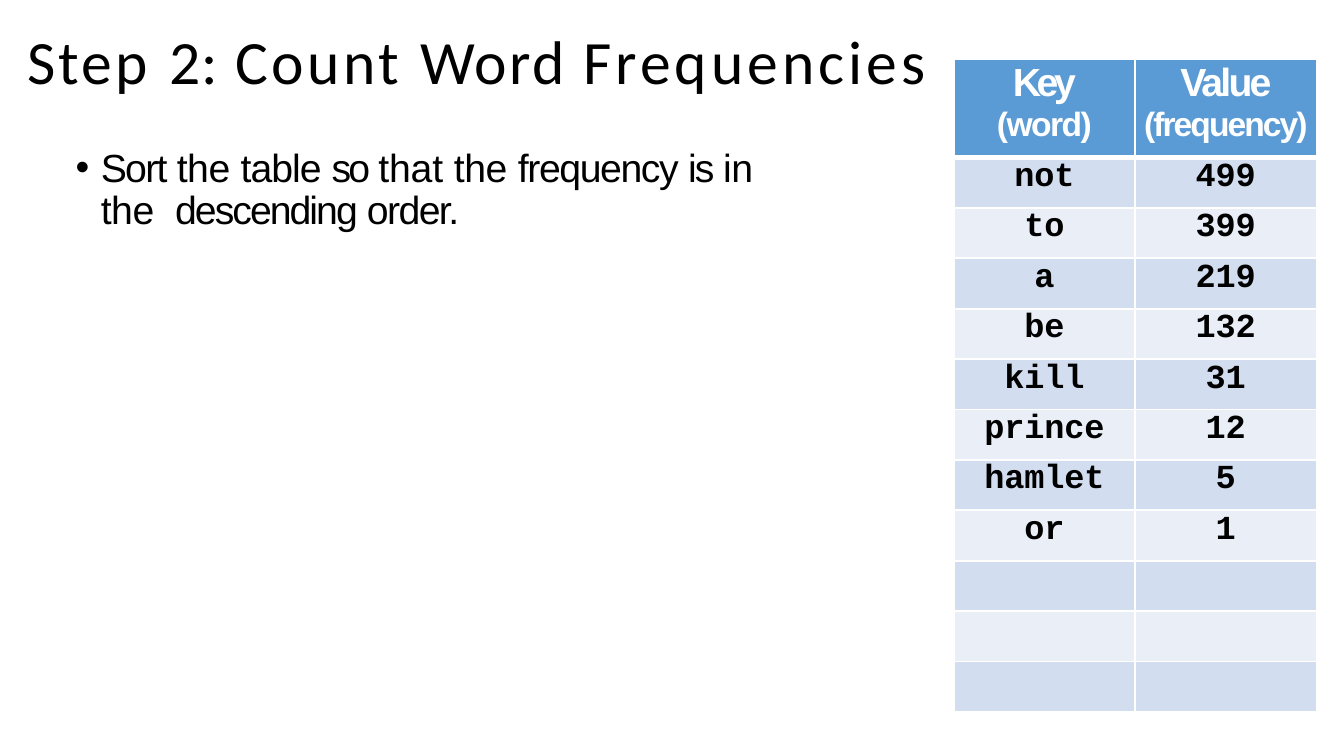
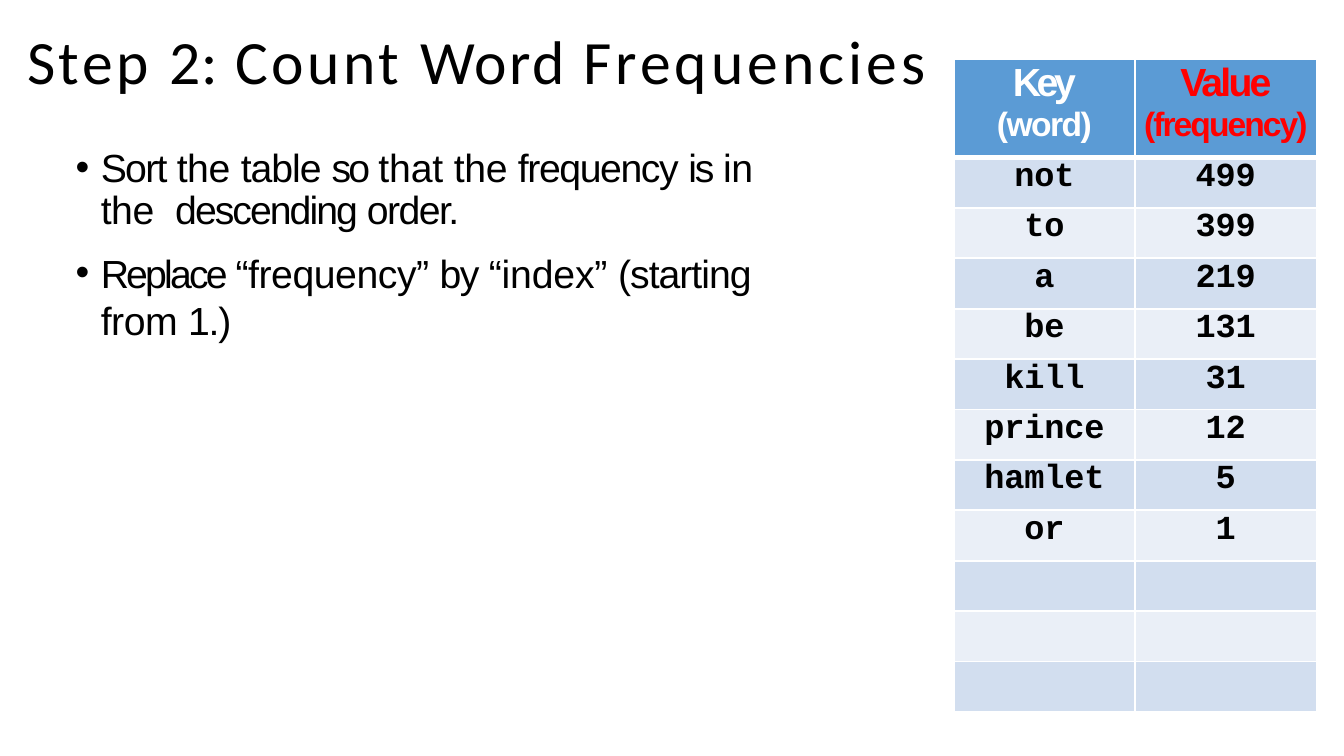
from lxml import etree
from pptx import Presentation
from pptx.dml.color import RGBColor
from pptx.enum.text import MSO_ANCHOR, PP_ALIGN
from pptx.oxml.ns import qn
from pptx.util import Pt

CENTER = PP_ALIGN.CENTER
MIDDLE = MSO_ANCHOR.MIDDLE

COLORS = {
    "text": "000000",
    "white": "FFFFFF",
    "highlight": "FF0000",
    "header": "5B9BD5",
    "odd_row": "D2DEEF",
    "even_row": "EAEFF7",
}

# Text pieces with their letter spacing in points
TITLE = [("Step ", 2.4), ("2: ", 1), ("Count ", 2.5), ("Word ", 1.6), ("Frequencies", 2.9)]
SORT_STEP = [
    ("Sort ", -1.2), ("the ", -0.3), ("table ", -0.7), ("so ", -1.9), ("that ", -0.1),
    ("the ", -0.3), ("frequency ", -1), ("is ", -1.5), ("in ", -0.4), ("the  ", -0.3),
    ("descending ", -1.4), ("order.", -1.1),
]
REPLACE_STEP = [
    ("Replace ", -2), ("“frequency” ", -0.3), ("by ", -1.1), ("“index” ", -0.1),
    ("(starting ", -0.7), ("from ", -0.3), ("1.)", -0.9),
]
HEADINGS = [[("Key", -3.1), ("(word)", -1.1)], [("Value", -2), ("(frequency)", -1.4)]]
WORDS = ["not", "to", "a", "be", "kill", "prince", "hamlet", "or"]

SLIDES = [
    {"steps": [SORT_STEP], "value_color": "white", "title_width": 742,
     "steps_size": (520, 65.5), "steps_inset": 0,
     "counts": [499, 399, 219, 132, 31, 12, 5, 1]},
    {"steps": [SORT_STEP, REPLACE_STEP], "value_color": "highlight", "title_width": 685,
     "steps_size": (578, 111.6), "steps_inset": 58,
     "counts": [499, 399, 219, 131, 31, 12, 5, 1]},
]

EMPTY_ROWS = 3
ROW_COUNT = 1 + len(WORDS) + EMPTY_ROWS
HEADER_HEIGHT, ROW_HEIGHT, COLUMN_WIDTH = 70, 36, 129.6
THIN, THICK = 1.5, 4.25


def add_pieces(paragraph, pieces, font_name, size, color="text", bold=False):
    for text, spacing in pieces:
        run = paragraph.add_run()
        run.text = text
        run.font.name = font_name
        run.font.size = Pt(size)
        run.font.bold = bold
        run.font.color.rgb = RGBColor.from_string(COLORS[color])
        run.font._element.set("spc", str(round(spacing * 100)))


def add_frame(slide, left, top, width, height, inset_top, inset_right=0):
    frame = slide.shapes.add_textbox(Pt(left), Pt(top), Pt(width), Pt(height)).text_frame
    frame.word_wrap = True
    frame.margin_left = frame.margin_bottom = 0
    frame.margin_top, frame.margin_right = Pt(inset_top), Pt(inset_right)
    return frame


prs = Presentation()
prs.slide_width, prs.slide_height = Pt(960), Pt(540)

for content in SLIDES:
    slide = prs.slides.add_slide(prs.slide_layouts[6])

    # Frequency table
    table = slide.shapes.add_table(
        ROW_COUNT, 2, Pt(681.2), Pt(42.5), Pt(2 * COLUMN_WIDTH),
        Pt(HEADER_HEIGHT + (ROW_COUNT - 1) * ROW_HEIGHT)).table
    table.horz_banding = False
    for column in table.columns:
        column.width = Pt(COLUMN_WIDTH)
    entries = list(zip(WORDS, content["counts"]))
    for row_index, row in enumerate(table.rows):
        is_header = row_index == 0
        row.height = Pt(HEADER_HEIGHT if is_header else ROW_HEIGHT)
        row_color = "header" if is_header else "odd_row" if row_index % 2 else "even_row"
        borders = {
            "a:lnL": THIN,
            "a:lnR": THIN,
            "a:lnT": THICK if row_index == 1 else THIN,
            "a:lnB": THICK if is_header else THIN,
        }
        for column_index, cell in enumerate(row.cells):
            cell.margin_left = cell.margin_right = cell.margin_bottom = 0
            cell.margin_top = Pt(1.5 if is_header else 0.7)
            cell_properties = cell._tc.get_or_add_tcPr()
            for tag, width in borders.items():
                line = etree.SubElement(cell_properties, qn(tag), w=str(Pt(width)))
                line_fill = etree.SubElement(line, qn("a:solidFill"))
                etree.SubElement(line_fill, qn("a:srgbClr"), val=COLORS["white"])
            cell.fill.solid()
            cell.fill.fore_color.rgb = RGBColor.from_string(COLORS[row_color])

            paragraph = cell.text_frame.paragraphs[0]
            paragraph.alignment = CENTER
            if is_header:
                heading, unit = HEADINGS[column_index]
                color = content["value_color"] if column_index else "white"
                add_pieces(paragraph, [heading], "Arial", 28, color, bold=True)
                unit_line = cell.text_frame.add_paragraph()
                unit_line.alignment = CENTER
                unit_line.space_before = Pt(0.4)
                add_pieces(unit_line, [unit], "Arial", 24, color, bold=True)
            elif row_index <= len(entries):
                entry = str(entries[row_index - 1][column_index])
                spacing = -0.1 if len(entry) > 1 else 0
                add_pieces(paragraph, [(entry, spacing)], "Courier New", 24, bold=True)

    # Title
    title = add_frame(slide, 19.4, 15.1, content["title_width"], 54, 0.7)
    title.vertical_anchor = MIDDLE
    add_pieces(title.paragraphs[0], TITLE, "Calibri", 44)

    # Bulleted steps
    steps = add_frame(slide, 53.3, 100.8, *content["steps_size"], 5, content["steps_inset"])
    for step_index, step in enumerate(content["steps"]):
        paragraph = steps.add_paragraph() if step_index else steps.paragraphs[0]
        properties = paragraph._p.get_or_add_pPr()
        properties.set("marL", str(Pt(18.7)))
        properties.set("indent", str(Pt(-18)))
        etree.SubElement(properties, qn("a:buFont"), typeface="Arial")
        etree.SubElement(properties, qn("a:buChar"), char="•")
        tabs = etree.SubElement(properties, qn("a:tabLst"))
        etree.SubElement(tabs, qn("a:tab"), pos=str(Pt(18.7)), algn="l")
        if step_index:
            paragraph.space_before = Pt(12)
        else:
            paragraph.line_spacing = Pt(30)
        add_pieces(paragraph, step, "Arial", 28)

prs.save("out.pptx")
